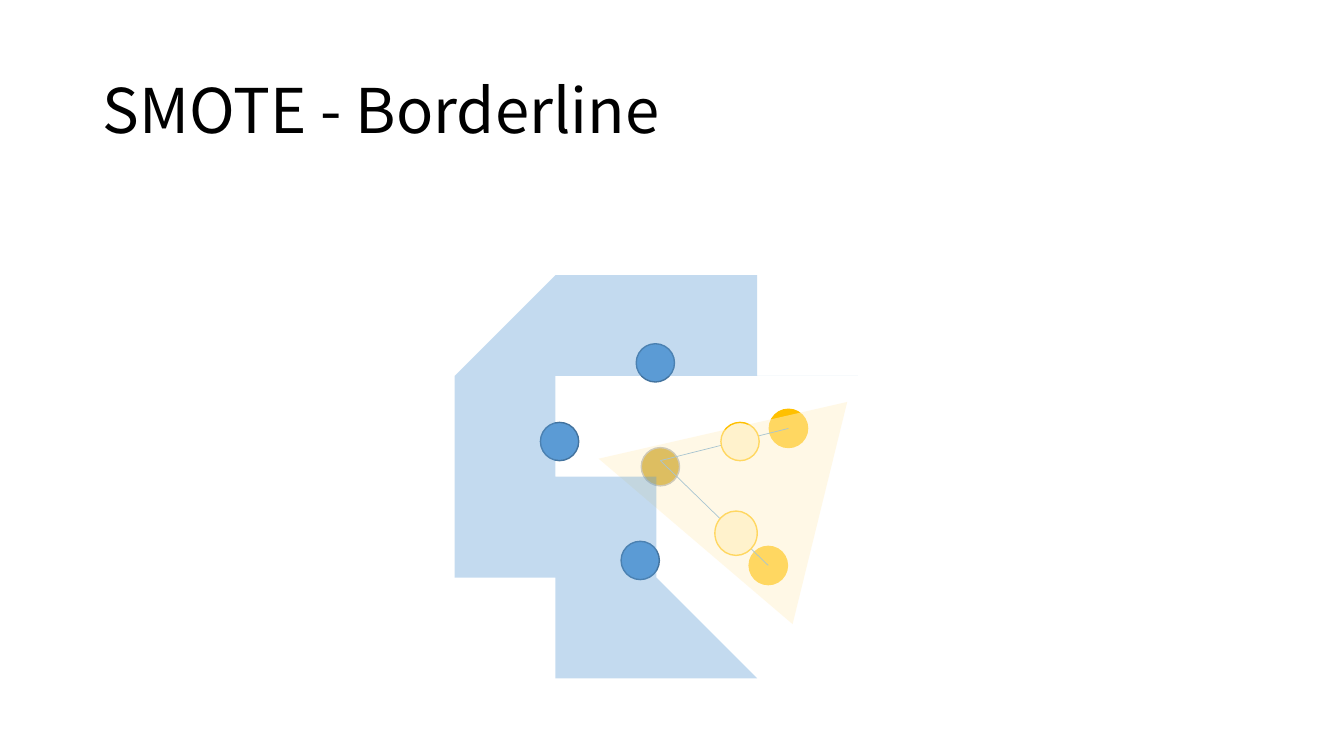
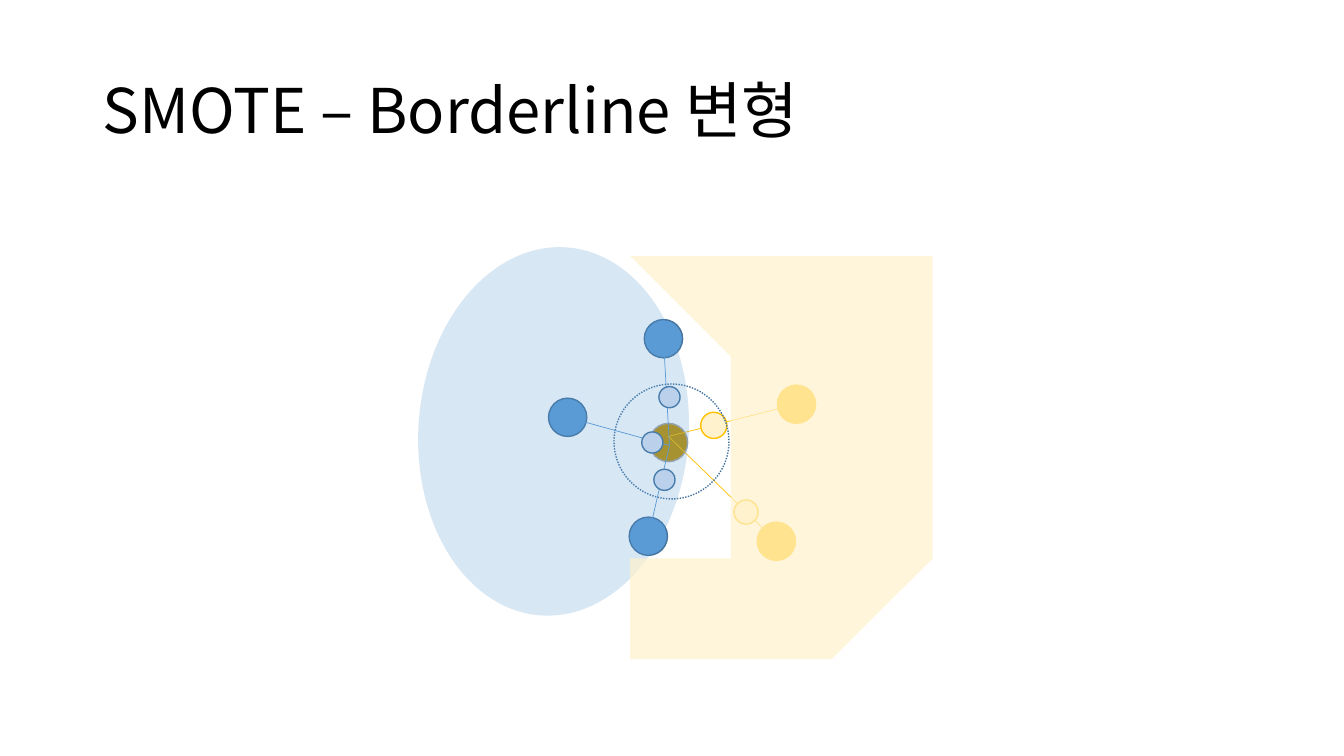
import dataclasses

import lxml.etree
import pptx
import pptx.dml.color
import pptx.enum.dml
import pptx.enum.shapes
import pptx.enum.text
import pptx.oxml.ns
import pptx.util

Inches, Pt = pptx.util.Inches, pptx.util.Pt
RGB = pptx.dml.color.RGBColor.from_string
qn = pptx.oxml.ns.qn
SHAPE = pptx.enum.shapes.MSO_SHAPE


@dataclasses.dataclass(frozen=True)
class Theme:
    font: str = "Noto Sans CJK KR"
    title_size: int = 44
    text: str = "000000"
    blue: str = "5B9BD5"
    blue_edge: str = "43739E"
    blue_light: str = "DAE3F3"
    gold: str = "FFC000"
    gold_dark: str = "BF9000"
    gold_light: str = "FFF2CC"
    gray: str = "A5A5A5"
    outline: float = 1
    link: float = 0.5


T = Theme()
DOT = 0.38

# Sample centres, as offsets from the diagram's left and top
MAJORITY = [(0.19, 0.97), (0.99, 2.15), (1.14, 0.19)]
MINORITY = [(2.26, 2.2), (2.46, 0.84)]
BORDER = (1.19, 1.22)
HUB = (1.19, 1.16)

# Region outlines, in inches from the region's corner
MAJORITY_OUTLINE = [
    (3.59, 1.03), (2.84, 1.13), (1.91, 1.19), (1.6, 1.27), (1.3, 1.39),
    (1.07, 1.49), (0.64, 1.67), (0.64, 1.73), (0.86, 1.82), (1.11, 1.98),
    (1.25, 2.16), (1.51, 2.35), (1.63, 2.51), (1.93, 2.83), (2.32, 3.19),
    (2.61, 3.51), (2.71, 3.68), (2.82, 3.72), (2.46, 3.77), (2.44, 3.86),
    (2.11, 3.89), (1.47, 3.87), (0.89, 3.68), (0.7, 3.55), (0.51, 3.32),
    (0.25, 2.83), (0.07, 2.52), (0, 1.97), (0.02, 1.13), (0.16, 0.82),
    (0.25, 0.52), (0.54, 0.21), (0.95, 0.09), (1.07, 0.03), (1.85, 0),
    (2.35, 0.11), (2.64, 0.26), (2.85, 0.47), (3.05, 0.73), (3.3, 0.86),
    (3.52, 0.91)]
MINORITY_OUTLINE = [
    (0.47, 0.21), (0.79, 0.79), (0.86, 1.64), (0.91, 1.91), (0.78, 2.21),
    (0.64, 2.6), (0.47, 3), (0.35, 3.39), (0.19, 3.65), (0, 3.94),
    (0.81, 4.1), (1.35, 4.17), (2.22, 4.13), (2.42, 3.93), (2.59, 3.24),
    (2.62, 1.48), (2.67, 0.55), (2.65, 0.34), (1.85, 0.19), (1.45, 0.1),
    (0.94, 0), (0.58, 0.02), (0.39, 0.14)]


def style(sp, fill=None, edge=None, opacity=None):
    sp.shadow.inherit = False
    if fill:
        sp.fill.solid()
        sp.fill.fore_color.rgb = RGB(fill)
    else:
        sp.fill.background()
    if opacity:
        clr = sp._element.spPr.find(qn("a:solidFill"))[0]
        lxml.etree.SubElement(clr, qn("a:alpha"), val=str(opacity * 1000))
    if edge:
        sp.line.color.rgb = RGB(edge)
        sp.line.width = Pt(T.outline)
    else:
        sp.line.fill.background()
    return sp


class Diagram:
    """Places parts by their offset from the left and top of its box."""

    def __init__(self, s, left, top):
        self.shapes, self.left, self.top = s.shapes, left, top

    def at(self, offset):
        return Inches(self.left + offset[0]), Inches(self.top + offset[1])

    def shape(self, kind, offset, w, h, fill=None, edge=None, opacity=None):
        sp = self.shapes.add_shape(kind, *self.at(offset), Inches(w), Inches(h))
        return style(sp, fill, edge, opacity)

    def dot(self, center, fill, edge, w=DOT, h=None):
        h = h or w
        corner = center[0] - w / 2, center[1] - h / 2
        return self.shape(SHAPE.OVAL, corner, w, h, fill, edge)

    def outline(self, offset, points, fill, opacity):
        fb = self.shapes.build_freeform(*points[0], scale=Inches(1))
        fb.add_line_segments(points[1:], close=True)
        style(fb.convert_to_shape(*self.at(offset)), fill, opacity=opacity)

    def links(self, starts, end, color):
        for start in starts:
            ln = self.shapes.add_connector(
                pptx.enum.shapes.MSO_CONNECTOR.STRAIGHT,
                *self.at(start), *self.at(end))
            ln.line.color.rgb = RGB(color)
            ln.line.width = Pt(T.link)
            lxml.etree.SubElement(ln._element.spPr, qn("a:effectLst"))

    def samples(self, link_color):
        for center in MAJORITY:
            self.dot(center, T.blue, T.blue_edge)
        for center in MINORITY:
            self.dot(center, T.gold, T.gold)
        self.dot(BORDER, T.gold_dark, T.gray)
        self.links(MINORITY, HUB, link_color)


def titled_slide(prs, text):
    s = prs.slides.add_slide(prs.slide_layouts[5])
    sp = s.shapes.title
    sp.left, sp.top = Inches(0.92), Inches(0.4)
    sp.width, sp.height = Inches(11.5), Inches(1.45)
    tf = sp.text_frame
    tf.word_wrap = True
    tf.auto_size = pptx.enum.text.MSO_AUTO_SIZE.NONE
    tf.vertical_anchor = pptx.enum.text.MSO_ANCHOR.MIDDLE
    p = tf.paragraphs[0]
    p.alignment = pptx.enum.text.PP_ALIGN.LEFT
    p.line_spacing = 0.9
    r = p.add_run()
    r.text = text
    r.font.name = T.font
    r.font.size = Pt(T.title_size)
    r.font.color.rgb = RGB(T.text)
    # East Asian typeface for the Korean word
    lxml.etree.SubElement(r._r.get_or_add_rPr(), qn("a:ea"), typeface=T.font)
    return s


def borderline(s, left, top):
    d = Diagram(s, left, top)
    d.samples(T.blue)
    # Synthetic minority samples
    d.dot((1.98, 0.97), T.gold_light, T.gold)
    d.dot((1.94, 1.88), T.gold_light, T.gold, 0.42, 0.44)
    # Class regions
    sp = d.shape(SHAPE.ISOSCELES_TRIANGLE, (0.54, 0.28), 2.27, 2.26,
                 T.gold_light, opacity=48)
    sp.rotation = 283.8
    d.outline((-0.85, -0.68), MAJORITY_OUTLINE, T.blue, 36)


def borderline_variant(s, left, top):
    d = Diagram(s, left, top)
    d.samples(T.gold)
    # Synthetic minority samples
    d.dot((1.64, 1.05), T.gold_light, T.gold, 0.26)
    d.dot((1.96, 1.91), T.gold_light, T.gold, 0.24)
    # Neighbourhood of the border sample
    ring = d.dot((1.22, 1.21), None, T.blue_edge, 1.14)
    ring.line.dash_style = pptx.enum.dml.MSO_LINE.ROUND_DOT
    # Synthetic majority samples
    d.links(MAJORITY, (1.2, 1.25), T.blue)
    for center in [(1.2, 0.77), (1.03, 1.22), (1.15, 1.59)]:
        d.dot(center, T.blue_light, T.blue_edge, 0.21)
    # Class regions
    sp = d.shape(SHAPE.OVAL, (-1.29, -0.72), 2.68, 3.66, T.blue, opacity=24)
    sp.rotation = 4
    d.outline((0.81, -0.63), MINORITY_OUTLINE, T.gold_light, 70)


prs = pptx.Presentation()
prs.slide_width, prs.slide_height = Inches(13.33), Inches(7.5)
borderline(titled_slide(prs, "SMOTE - Borderline"), 5.36, 3.41)
borderline_variant(titled_slide(prs, "SMOTE – Borderline 변형"), 5.44, 3.17)
prs.save("out.pptx")
